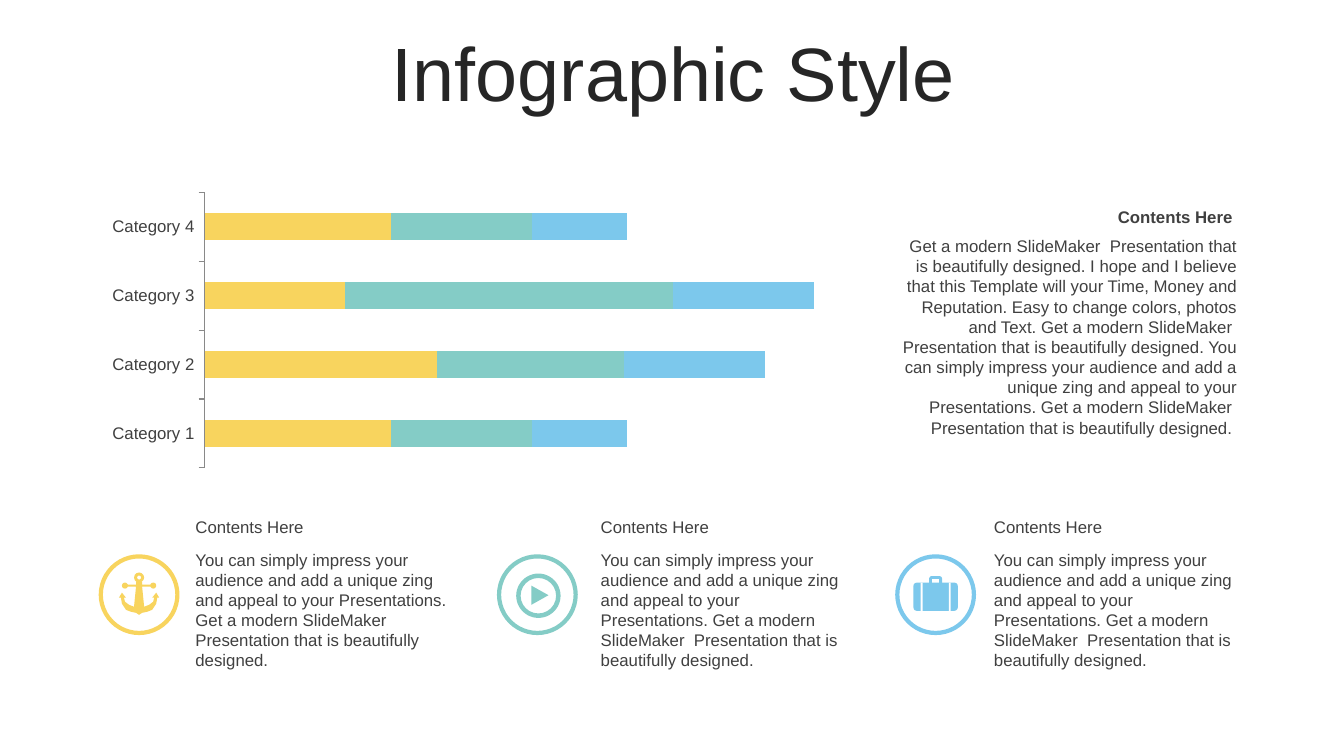
from pptx import Presentation
from pptx import util as u
from pptx.chart.data import CategoryChartData
from pptx.dml.color import RGBColor
from pptx.enum import chart as ch, shapes, text

In, Pt = u.Inches, u.Pt
KIND = shapes.MSO_SHAPE
LEFT, MID, RIGHT = text.PP_ALIGN.LEFT, text.PP_ALIGN.CENTER, text.PP_ALIGN.RIGHT

GOLD = RGBColor(0xF8, 0xD4, 0x5E)
TEAL = RGBColor(0x84, 0xCC, 0xC6)
BLUE = RGBColor(0x7C, 0xC8, 0xEC)
WHITE = RGBColor(0xFF, 0xFF, 0xFF)
INK = RGBColor(0x26, 0x26, 0x26)
GREY = RGBColor(0x40, 0x40, 0x40)
AXIS = RGBColor(0x89, 0x89, 0x89)

HEAD = "Contents Here"
OFFER = "Get a modern SlideMaker  Presentation that is beautifully designed."
ZING = ("You can simply impress your audience and add a unique zing "
        "and appeal to your Presentations. ")
STORY = (OFFER + " I hope and I believe that this Template will your Time, "
         "Money and Reputation. Easy to change colors, photos and Text. "
         + OFFER + " " + ZING + OFFER + " ")

# Chart values by series, from Category 1 to Category 4
DATA = [("Series 1", GOLD, (57, 71, 43, 57)),
        ("Series 2", TEAL, (43, 57, 100, 43)),
        ("Series 3", BLUE, (29, 43, 43, 29))]

# Right half of the anchor outline: offsets from its top centre
HALF = [(.03, .09), (.03, .12), (.14, .12), (.14, .14), (.03, .14),
        (.05, .34), (.1, .32), (.14, .29), (.15, .25), (.13, .25),
        (.17, .2), (.2, .25), (.18, .25), (.17, .31), (.13, .37),
        (.08, .39), (.03, .4), (0, .42)]


def write(page, box, words, size=12, color=GREY, align=LEFT, bold=None):
    area = page.shapes.add_textbox(*map(In, box))
    frame = area.text_frame
    frame.word_wrap = True
    para = frame.paragraphs[0]
    para.text = words
    para.alignment = align
    font = para.font
    font.name, font.size, font.bold = "Arial", Pt(size), bold
    font.color.rgb = color
    return frame


def draw(page, kind, box, fill=None, line=None, width=3, adjust=None):
    part = page.shapes.add_shape(kind, *map(In, box))
    paint(part, fill, line, width)
    if adjust is not None:
        part.adjustments[0] = adjust
    return part


def paint(part, fill, line=None, width=3):
    part.shadow.inherit = False
    if fill is None:
        part.fill.background()
    else:
        part.fill.solid()
        part.fill.fore_color.rgb = fill
    if line is None:
        part.line.fill.background()
    else:
        part.line.color.rgb = line
        part.line.width = Pt(width)


# Icons, each placed around the centre of its ring
def anchor(page, x, y, color):
    top = y - .22
    points = HALF + [(-dx, dy) for dx, dy in reversed(HALF[:-1])]
    places = [(In(x + dx), In(top + dy)) for dx, dy in points]
    form = page.shapes.build_freeform(*places[0], scale=1.0)
    form.add_line_segments(places[1:], close=True)
    paint(form.convert_to_shape(), color)
    draw(page, KIND.DONUT, (x - .05, top, .1, .1), color, adjust=.3)
    for side in (-.14, .14):
        draw(page, KIND.OVAL, (x + side - .03, top + .1, .06, .06), color)


def play(page, x, y, color):
    draw(page, KIND.DONUT, (x - .21, y - .21, .44, .44), color, adjust=.1)
    arrow = draw(page, KIND.ISOSCELES_TRIANGLE,
                 (x - .07, y - .08, .19, .17), color)
    arrow.rotation = 90


def case(page, x, y, color):
    draw(page, KIND.ROUNDED_RECTANGLE, (x - .22, y - .12, .44, .28),
         color, adjust=.12)
    for side in (-.14, .14):
        draw(page, KIND.RECTANGLE, (x + side - .01, y - .12, .02, .28), WHITE)
    draw(page, KIND.ROUNDED_RECTANGLE, (x - .05, y - .17, .1, .07),
         line=color, width=2)


# Regions of the slide
def title(page, box):
    frame = write(page, box, "Infographic Style", 54, INK, MID)
    frame.vertical_anchor = text.MSO_ANCHOR.MIDDLE
    frame.paragraphs[0].line_spacing = .9


def bars(page, box):
    data = CategoryChartData()
    data.categories = [f"Category {n}" for n in range(1, 5)]
    for name, _, vals in DATA:
        data.add_series(name, vals)
    graph = page.shapes.add_chart(
        ch.XL_CHART_TYPE.BAR_STACKED, *map(In, box), data).chart
    graph.has_legend = graph.has_title = False
    graph.font.name, graph.font.size = "Arial", Pt(12)
    graph.font.color.rgb = GREY

    plot = graph.plots[0]
    plot.gap_width, plot.overlap = 150, 100
    plot.vary_by_categories = False
    for row, (_, color, _) in zip(plot.series, DATA):
        row.format.fill.solid()
        row.format.fill.fore_color.rgb = color

    values = graph.value_axis
    values.visible = values.has_major_gridlines = False
    values.minimum_scale, values.maximum_scale = 0, 200
    names = graph.category_axis
    names.major_tick_mark = ch.XL_TICK_MARK.OUTSIDE
    names.format.line.color.rgb = AXIS
    names.format.line.width = Pt(.75)


def story(page, box):
    x, y, w, h = box
    write(page, (x, y, w, .3), HEAD + " ", align=RIGHT, bold=True)
    write(page, (x, y + .29, w, h - .29), STORY, align=RIGHT)


def card(page, box, indent, color, icon):
    x, y, w, h = box
    draw(page, KIND.OVAL, (x, y + .44, .76, .76), line=color)
    icon(page, x + .38, y + .82, color)
    write(page, (x + indent, y, w - indent, .3), HEAD)
    write(page, (x + indent, y + .32, w - indent, h - .32), ZING + OFFER)


def main():
    deck = Presentation()
    deck.slide_width, deck.slide_height = In(13.33), In(7.5)
    page = deck.slides.add_slide(deck.slide_layouts[6])
    title(page, (.35, .37, 12.66, .79))
    bars(page, (.96, 1.85, 7.72, 2.85))
    story(page, (8.8, 2, 3.57, 2.41))
    cards = [(.84, 3.58, GOLD, anchor), (.91, 3.53, TEAL, play),
             (.86, 3.48, BLUE, case)]
    for n, (indent, wide, color, icon) in enumerate(cards):
        card(page, (1 + 3.95 * n, 5.08, wide, 1.63), indent, color, icon)
    deck.save("out.pptx")


if __name__ == "__main__":
    main()
